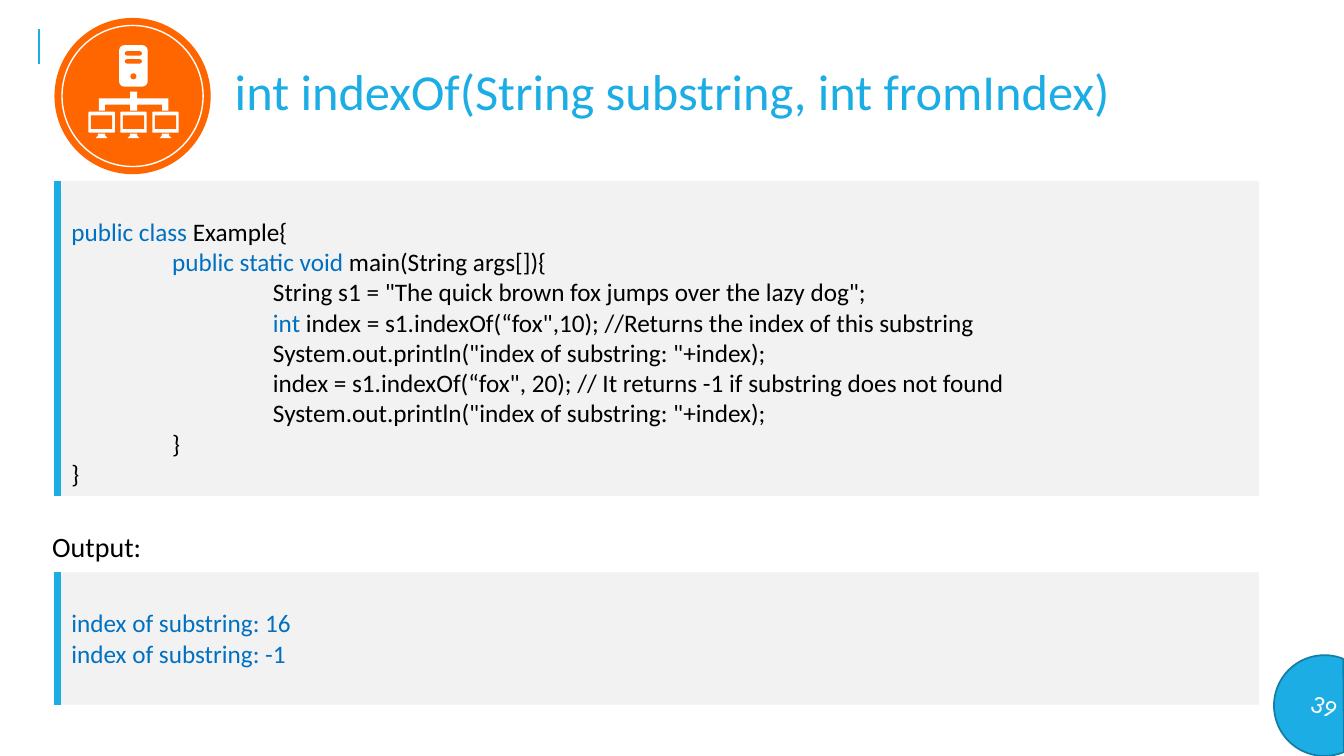
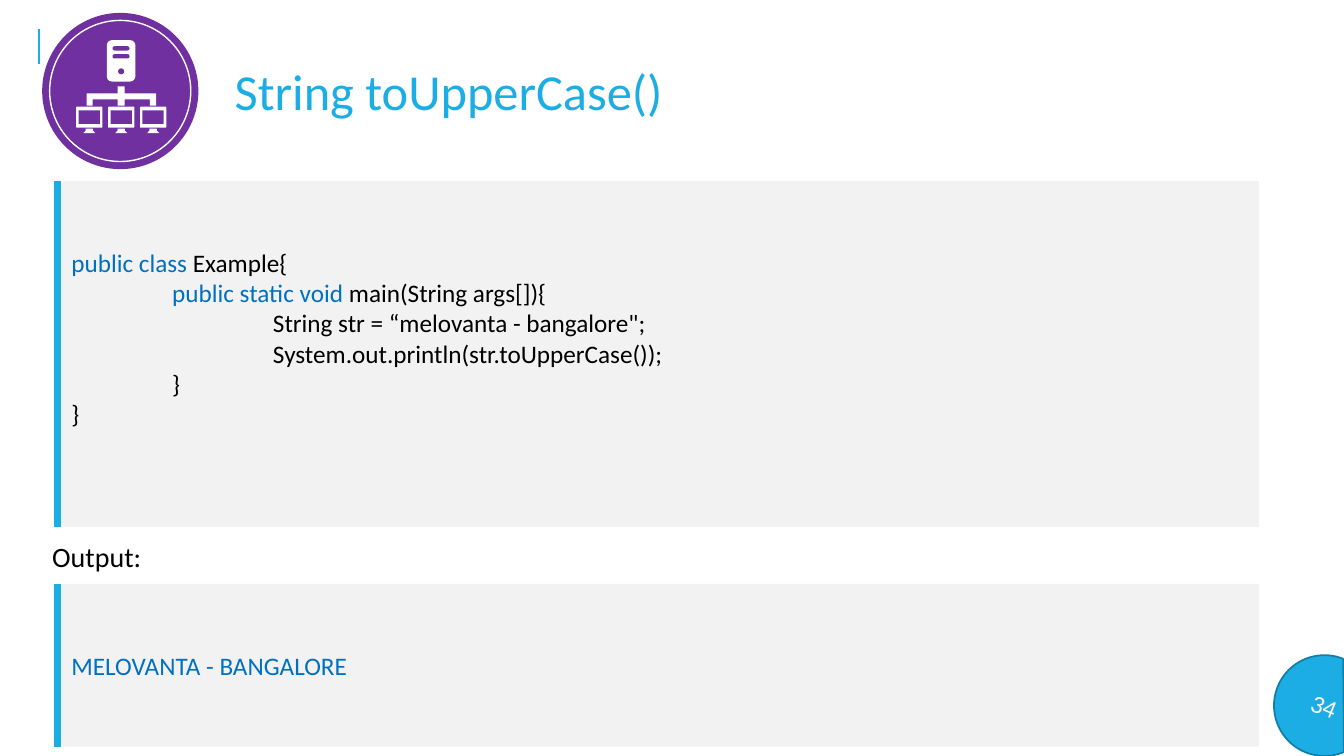
import pptx
import pptx.dml.color
import pptx.enum.shapes
import pptx.enum.text
import pptx.util
from pptx.oxml.ns import qn
import lxml.etree

Pt = pptx.util.Pt
SHAPE = pptx.enum.shapes.MSO_SHAPE
ALIGN = pptx.enum.text.PP_ALIGN
ANCHOR = pptx.enum.text.MSO_ANCHOR

COLORS = {
    "accent": "1CADE4",
    "accent_edge": "147EA6",
    "panel": "F2F2F2",
    "keyword": "0070C0",
    "text": "000000",
    "white": "FFFFFF",
    "orange": "FF6600",
    "purple": "7030A0",
}
FONT = "Calibri"
CODE_SIZE = 18
CODE_LINE = 22  # height of one code line
TAB = 72
PANEL_LEFT, PANEL_WIDTH = 43.9, 855.4
BAR_X = 41


def rgb(name):
    return pptx.dml.color.RGBColor.from_string(COLORS[name])


class Deck:
    def __init__(self):
        self.prs = pptx.Presentation()
        self.prs.slide_width, self.prs.slide_height = Pt(960), Pt(540)
        self.slide = None

    # Basic elements
    def paint(self, shape, fill, line=None, width=1):
        shape.shadow.inherit = False
        shape.fill.solid()
        shape.fill.fore_color.rgb = rgb(fill)
        if line:
            shape.line.color.rgb = rgb(line)
            shape.line.width = Pt(width)
        else:
            shape.line.fill.background()

    def shape(self, kind, left, top, width, height, fill, line=None,
              line_width=1, parent=None):
        shapes = (parent or self.slide).shapes
        shape = shapes.add_shape(kind, Pt(left), Pt(top), Pt(width), Pt(height))
        self.paint(shape, fill, line, line_width)
        return shape

    def polygon(self, points, fill, parent):
        corners = [(Pt(x), Pt(y)) for x, y in points]
        builder = parent.shapes.build_freeform(*corners[0])
        builder.add_line_segments(corners[1:], close=True)
        self.paint(builder.convert_to_shape(), fill)

    def vertical_line(self, x, top, bottom, width, parent=None):
        line = (parent or self.slide).shapes.add_connector(
            pptx.enum.shapes.MSO_CONNECTOR.STRAIGHT,
            Pt(x), Pt(top), Pt(x), Pt(bottom))
        line.line.color.rgb = rgb("accent")
        line.line.width = Pt(width)
        properties = line._element.find(qn("p:spPr"))
        lxml.etree.SubElement(properties, qn("a:effectLst"))

    def run(self, paragraph, text, size, color):
        run = paragraph.add_run()
        run.text = text
        run.font.name = FONT
        run.font.size = Pt(size)
        run.font.color.rgb = rgb(color)

    def text(self, left, top, width, height, text, size, color):
        box = self.slide.shapes.add_textbox(
            Pt(left), Pt(top), Pt(width), Pt(height))
        box.text_frame.word_wrap = True
        self.run(box.text_frame.paragraphs[0], text, size, color)

    # Parts of every slide
    def start(self, title, number):
        self.slide = self.prs.slides.add_slide(self.prs.slide_layouts[6])
        self.vertical_line(28, 21, 46, 1.5)
        self.text(160.6, 39.6, 738.7, 51, title, 36, "accent")
        badge = self.shape(SHAPE.CHORD, 910, 468, 72, 72, "accent",
                           "accent_edge", 1.25)
        badge.adjustments[0] = 27
        badge.adjustments[1] = 161.87
        badge.rotation = 22.2
        badge.text_frame.vertical_anchor = ANCHOR.MIDDLE
        paragraph = badge.text_frame.paragraphs[0]
        paragraph.alignment = ALIGN.CENTER
        self.run(paragraph, number, 18, "white")

    def code_panel(self, top, height, lines, lead):
        """Each line is (depth, [(text, color), ...]); lead counts lines of space above."""
        group = self.slide.shapes.add_group_shape()
        panel = self.shape(SHAPE.RECTANGLE, PANEL_LEFT, top, PANEL_WIDTH, height,
                           "panel", parent=group)
        self.vertical_line(BAR_X, top, top + height, 4.5, group)
        frame = panel.text_frame
        frame.word_wrap = True
        frame.vertical_anchor = ANCHOR.TOP
        frame.margin_top = Pt(3.2 + lead * CODE_LINE)
        for index, (depth, pieces) in enumerate(lines):
            paragraph = frame.add_paragraph() if index else frame.paragraphs[0]
            paragraph.alignment = ALIGN.LEFT
            paragraph._p.get_or_add_pPr().set("marL", str(Pt(depth * TAB)))
            for text, color in pieces:
                self.run(paragraph, text, CODE_SIZE, color)

    def output(self, label_top, top, height, results, lead):
        self.text(30.2, label_top, 78.5, 31.7, "Output:", 20, "text")
        lines = [(0, [(result, "keyword")]) for result in results]
        self.code_panel(top, height, lines, lead)

    def network_icon(self, left, top, color):
        group = self.slide.shapes.add_group_shape()

        def part(kind, x, y, width, height, fill, line=None):
            return self.shape(kind, left + x, top + y, width, height, fill,
                              line, parent=group)

        def outline(points, x=0, y=0):
            self.polygon([(left + x + px, top + y + py) for px, py in points],
                         "white", group)

        # Disc and ring
        part(SHAPE.OVAL, 0, 0, 111.6, 111.6, color)
        part(SHAPE.OVAL, 5.4, 5.4, 100.8, 100.8, color, "white")
        # Server with two slots and a button
        server = part(SHAPE.ROUNDED_RECTANGLE, 46.2, 19.5, 20.4, 29.6, "white")
        server.adjustments[0] = 0.18
        for slot_top in (23.8, 29.5):
            slot = part(SHAPE.ROUNDED_RECTANGLE, 50.3, slot_top, 12.2, 3.1, color)
            slot.adjustments[0] = 0.5
        part(SHAPE.OVAL, 54.3, 39.6, 4.3, 4.3, color)
        # Cabling
        outline([(54, 52.6), (59, 52.6), (59, 57.6), (81.4, 57.6), (81.4, 66.2),
                 (77, 66.2), (77, 61.9), (59, 61.9), (59, 66.2), (54, 66.2),
                 (54, 61.9), (36, 61.9), (36, 66.2), (31.7, 66.2),
                 (31.7, 57.6), (54, 57.6)])
        # Three workstations
        for station in range(3):
            x = 24.3 + station * 22.8
            monitor = part(SHAPE.ROUNDED_RECTANGLE, x, 67, 18.8, 15, "white")
            monitor.adjustments[0] = 0.04
            part(SHAPE.RECTANGLE, x + 1.8, 69.7, 15.2, 9.6, color)
            outline([(6.8, 0), (12, 0), (12, 1.4), (13.7, 3.2), (5.1, 3.2),
                     (6.8, 1.4)], x, 82.7)


def plain(depth, text):
    return depth, [(text, "text")]


def example(body):
    """Wraps body lines in the class and main method."""
    return [
        (0, [("public class ", "keyword"), ("Example{", "text")]),
        (1, [("public static void ", "keyword"),
             ("main(String args[]){", "text")]),
        *body,
        plain(1, "}"),
        plain(0, "}"),
    ]


def main():
    deck = Deck()
    print_index = plain(2, 'System.out.println("index of substring: "+index);')

    # indexOf
    deck.start("int indexOf(String substring, int fromIndex)", "39")
    deck.code_panel(129.2, 225.3, example([
        plain(2, 'String s1 = "The quick brown fox jumps over the lazy dog";'),
        (2, [("int", "keyword"),
             (' index = s1.indexOf(“fox",10); //Returns the index of this substring',
              "text")]),
        print_index,
        plain(2, 'index = s1.indexOf(“fox", 20); '
                 '// It returns -1 if substring does not found'),
        print_index,
    ]), lead=1)
    deck.output(374.8, 408.8, 94.5,
                ["index of substring: 16", "index of substring: -1"], lead=1)
    deck.network_icon(38.9, 12.8, "orange")

    # toUpperCase
    sample = "melovanta - bangalore"
    deck.start("String toUpperCase()", "34")
    deck.code_panel(129.4, 247, example([
        plain(2, f'String str = “{sample}";'),
        plain(2, "System.out.println(str.toUpperCase());"),
    ]), lead=2)
    deck.output(382, 417, 116.4, [sample.upper()], lead=2)
    deck.network_icon(30.1, 9.2, "purple")

    deck.prs.save("out.pptx")


if __name__ == "__main__":
    main()
